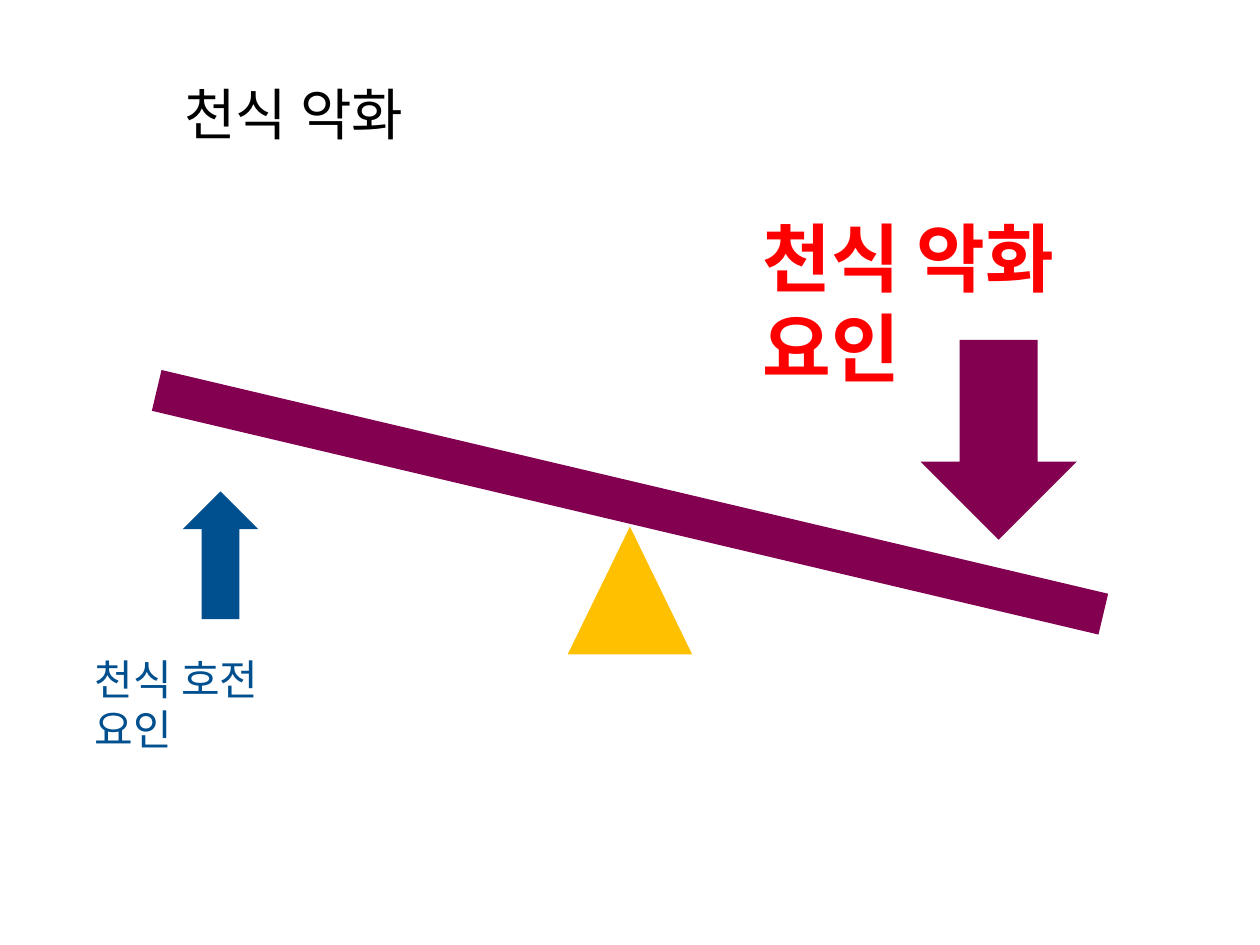
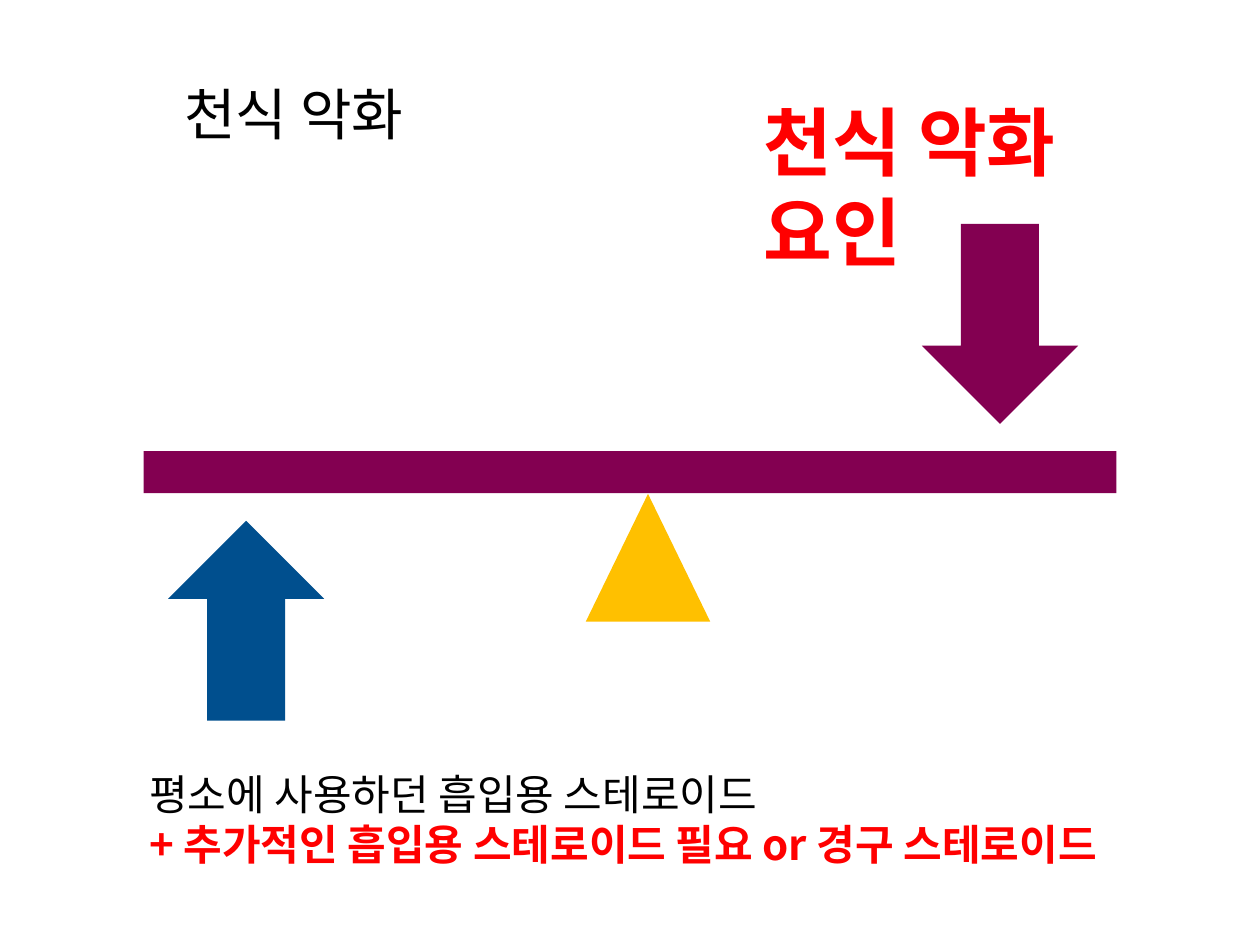
from dataclasses import dataclass

from lxml.etree import SubElement
from pptx import Presentation
from pptx.dml.color import RGBColor
from pptx.enum.shapes import MSO_SHAPE
from pptx.oxml.ns import qn
from pptx.util import Inches, Pt


@dataclass(frozen=True)
class Theme:
    font: str = "Noto Sans CJK KR"
    black: str = "000000"
    red: str = "FF0000"
    plum: str = "830051"
    blue: str = "004F8E"
    amber: str = "FFC000"
    title: int = 24
    headline: int = 32
    body: int = 18


THEME = Theme()
CELL = 0.25  # side of a square grid cell, in inches
COLUMNS, ROWS = 30, 22.5
BIG_ARROW = (3.72, 4.76)
SMALL_ARROW = (1.8, 3.04)
PIVOT = (2.96, 3.04)
BEAM = (23.16, 1)


def cells(*counts):
    return [Inches(count * CELL) for count in counts]


def write(para, text, *, size, color, bold=False):
    span = para.add_run()
    span.text = text
    span.font.name = THEME.font
    span.font.size = Pt(size)
    span.font.bold = bold
    span.font.color.rgb = RGBColor.from_string(color)
    properties = span.font._element
    SubElement(properties, qn("a:ea")).set("typeface", THEME.font)


class SeesawDeck:
    def __init__(self):
        self.deck = Presentation()
        self.deck.slide_width, self.deck.slide_height = cells(COLUMNS, ROWS)
        self.page = None

    def start_page(self, title):
        self.page = self.deck.slides.add_slide(self.deck.slide_layouts[6])
        self.text(4, 1.7, 26, 4.36, title, size=THEME.title, color=THEME.black)

    def text(self, column, row, width, height, text, **style):
        """Add a wrapping text box and return its frame."""
        box = self.page.shapes.add_textbox(*cells(column, row, width, height))
        frame = box.text_frame
        frame.word_wrap = True
        write(frame.paragraphs[0], text, **style)
        return frame

    def shape(self, kind, column, row, size, color, rotation=0):
        shape = self.page.shapes.add_shape(kind, *cells(column, row, *size))
        shape.shadow.inherit = False
        shape.fill.solid()
        shape.fill.fore_color.rgb = RGBColor.from_string(color)
        shape.line.fill.background()
        shape.rotation = rotation

    def seesaw(self, beam_row, pivot_column, pivot_row, tilt=0):
        self.shape(MSO_SHAPE.RECTANGLE, 3.42, beam_row, BEAM, THEME.plum, tilt)
        self.shape(MSO_SHAPE.ISOSCELES_TRIANGLE, pivot_column, pivot_row,
                   PIVOT, THEME.amber)

    def lift(self, column, row, size):
        self.shape(MSO_SHAPE.DOWN_ARROW, column, row, size, THEME.blue, 180)

    def worsening(self, column, row):
        """Add the heavy downward arrow and its headline."""
        self.shape(MSO_SHAPE.DOWN_ARROW, column + 4.16, row + 3.24,
                   BIG_ARROW, THEME.plum)
        self.text(column, row, 11.2, 2.56, "천식 악화 요인",
                  size=THEME.headline, color=THEME.red, bold=True)


def main():
    show = SeesawDeck()

    show.start_page("천식 악화")
    show.seesaw(11.46, 13.52, 12.54, tilt=13.3)
    show.lift(4.35, 11.7, SMALL_ARROW)
    show.worsening(17.76, 4.85)
    show.text(1.86, 15.36, 6.64, 1.6, "천식 호전 요인",
              size=THEME.body, color=THEME.blue)

    show.start_page("천식 악화")
    show.seesaw(10.74, 13.95, 11.76)
    show.worsening(17.79, 2.09)
    show.lift(4, 12.4, BIG_ARROW)
    treatment = show.text(3.16, 18.1, 23.68, 2.84,
                          "평소에 사용하던 흡입용 스테로이드",
                          size=THEME.body, color=THEME.black)
    write(treatment.add_paragraph(),
          "+ 추가적인 흡입용 스테로이드 필요 or 경구 스테로이드",
          size=THEME.body, color=THEME.red, bold=True)

    show.deck.save("out.pptx")


if __name__ == "__main__":
    main()
